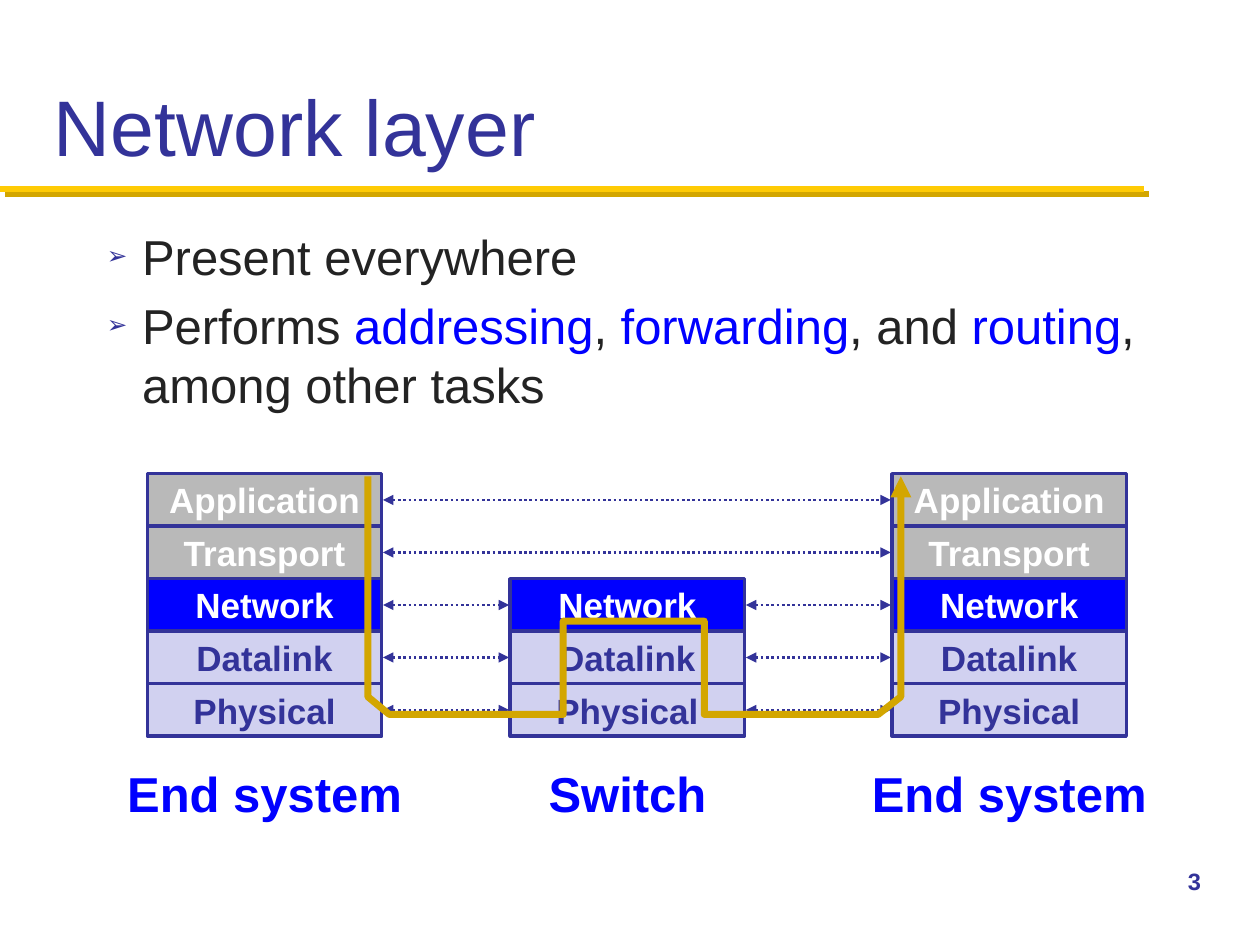
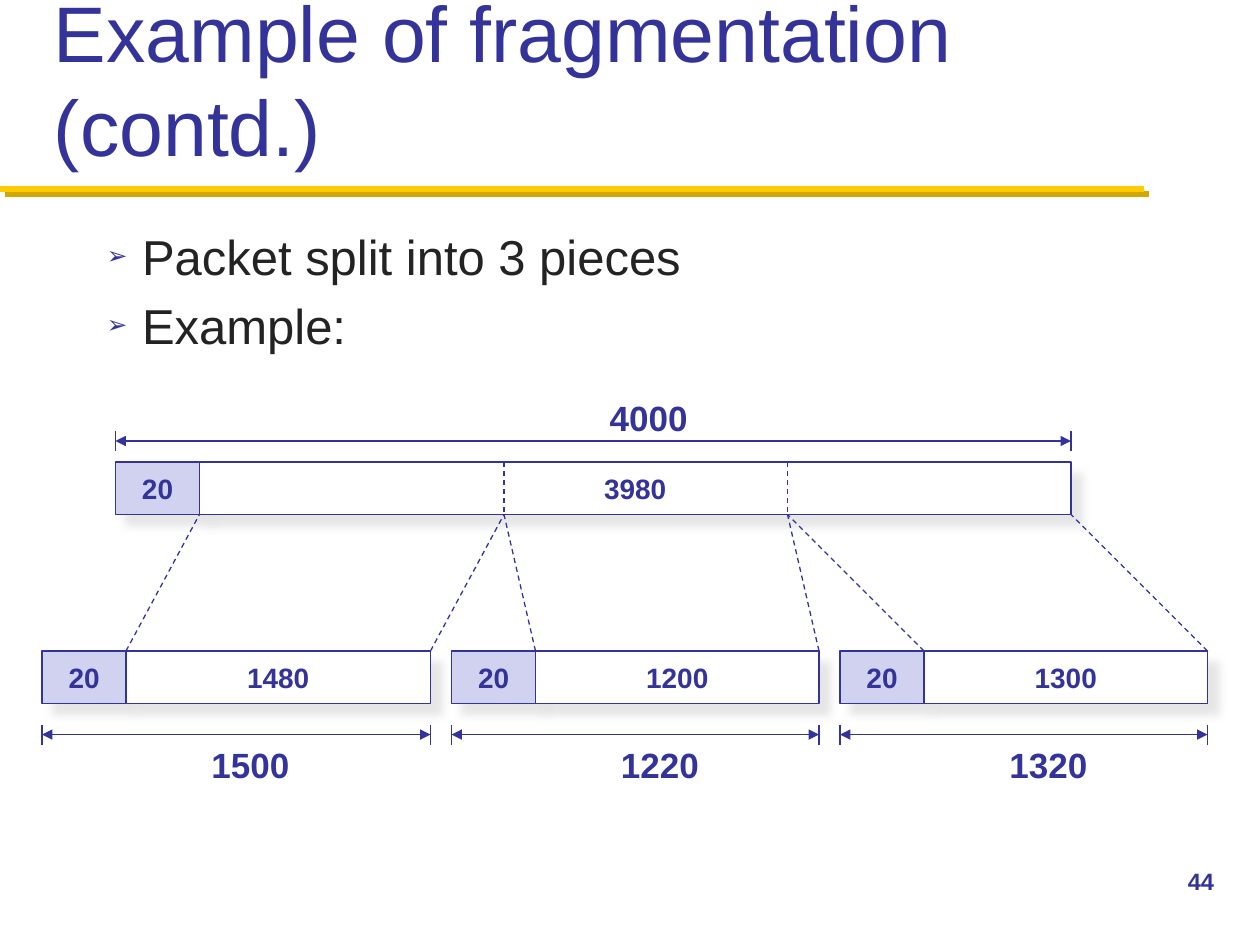
from lxml.etree import SubElement
from pptx import Presentation
from pptx.dml.color import RGBColor
from pptx.enum.dml import MSO_LINE
from pptx.enum.shapes import MSO_CONNECTOR, MSO_SHAPE
from pptx.enum.text import MSO_ANCHOR, PP_ALIGN
from pptx.oxml.ns import qn
from pptx.util import Inches, Pt

NAVY = RGBColor(0x33, 0x33, 0x99)
BLUE = RGBColor(0x00, 0x00, 0xFF)
INK = RGBColor(0x23, 0x23, 0x23)
WHITE = RGBColor(0xFF, 0xFF, 0xFF)
GREY = RGBColor(0xB9, 0xB9, 0xB9)
LAVENDER = RGBColor(0xD1, 0xD1, 0xF0)
YELLOW = RGBColor(0xFF, 0xCB, 0x05)
GOLD = RGBColor(0xD3, 0xA6, 0x00)
SHADE = RGBColor(0xCE, 0xCE, 0xCE)
FONT = "Arial"

LAYERS = {
    "Application": (GREY, WHITE),
    "Transport": (GREY, WHITE),
    "Network": (BLUE, WHITE),
    "Datalink": (LAVENDER, NAVY),
    "Physical": (LAVENDER, NAVY),
}


def write(paragraph, text, size=20, color=NAVY, bold=False, align=None):
    run = paragraph.add_run()
    run.text = text
    run.font.name = FONT
    run.font.size = Pt(size)
    run.font.color.rgb = color
    run.font.bold = bold
    if align is not None:
        paragraph.alignment = align


def add_effect(shape, shadow=None):
    effects = SubElement(shape._element.spPr, qn("a:effectLst"))
    if shadow:
        color, opacity, blur, distance = shadow
        outer = SubElement(effects, qn("a:outerShdw"), blurRad=str(Pt(blur)),
                           dist=str(Pt(distance)), dir="2700000",
                           algn="ctr", rotWithShape="0")
        tint = SubElement(outer, qn("a:srgbClr"), val=str(color))
        SubElement(tint, qn("a:alpha"), val=str(opacity * 1000))


def add_arrowheads(shape, *ends):
    outline = shape.line._get_or_add_ln()
    for end in ends:
        SubElement(outline, qn(f"a:{end}"), type="triangle")


class Deck:
    def __init__(self):
        self.presentation = Presentation()
        self.presentation.slide_width = Inches(10)
        self.presentation.slide_height = Inches(7.5)
        self.slide = None

    def start(self, title, number):
        layout = self.presentation.slide_layouts[6]
        self.slide = self.presentation.slides.add_slide(layout)
        self.line((0, 1.5), (9.08, 1.5), YELLOW, 3.5,
                  shadow=(GOLD, 100, 0, 4.2))
        self.text(0.33, 0.17, 9.33, 1.25, title, anchor=MSO_ANCHOR.BOTTOM, size=45)
        self.text(9.33, 6.83, 0.67, 0.5, number, size=13.5, bold=True)

    def frame(self, left, top, width, height, wrap=True, anchor=MSO_ANCHOR.TOP):
        box = self.slide.shapes.add_textbox(
            Inches(left), Inches(top), Inches(width), Inches(height))
        box.text_frame.word_wrap = wrap
        box.text_frame.vertical_anchor = anchor
        return box.text_frame

    def text(self, left, top, width, height, text, wrap=True,
             anchor=MSO_ANCHOR.TOP, **style):
        frame = self.frame(left, top, width, height, wrap, anchor)
        write(frame.paragraphs[0], text, **style)

    def bullets(self, *items):
        frame = self.frame(0.75, 1.75, 8.67, 4.83)
        for index, parts in enumerate(items):
            paragraph = frame.add_paragraph() if index else frame.paragraphs[0]
            properties = paragraph._p.get_or_add_pPr()
            properties.set("marL", str(Inches(0.28)))
            properties.set("indent", str(Inches(-0.28)))
            before = SubElement(properties, qn("a:spcBef"))
            SubElement(before, qn("a:spcPct"), val="20000")
            tint = SubElement(properties, qn("a:buClr"))
            SubElement(tint, qn("a:srgbClr"), val=str(NAVY))
            SubElement(properties, qn("a:buSzPct"), val="50000")
            SubElement(properties, qn("a:buFont"), typeface=FONT)
            SubElement(properties, qn("a:buChar"), char="➢")
            for text, color in parts:
                write(paragraph, text, size=28, color=color)

    def box(self, left, top, width, height, text, fill, weight,
            shadow=None, **style):
        shape = self.slide.shapes.add_shape(
            MSO_SHAPE.RECTANGLE, Inches(left), Inches(top),
            Inches(width), Inches(height))
        shape.fill.solid()
        shape.fill.fore_color.rgb = fill
        shape.line.color.rgb = NAVY
        shape.line.width = Pt(weight)
        add_effect(shape, shadow)
        frame = shape.text_frame
        frame.word_wrap = False
        frame.vertical_anchor = MSO_ANCHOR.MIDDLE
        write(frame.paragraphs[0], text, bold=True, align=PP_ALIGN.CENTER, **style)

    def line(self, start, end, color=NAVY, weight=0.75, dash=None,
             arrows=False, shadow=None):
        connector = self.slide.shapes.add_connector(
            MSO_CONNECTOR.STRAIGHT, *map(Inches, (*start, *end)))
        connector.line.color.rgb = color
        connector.line.width = Pt(weight)
        if dash:
            connector.line.dash_style = dash
        if arrows:
            add_arrowheads(connector, "headEnd", "tailEnd")
        add_effect(connector, shadow)

    def route(self, points, color, weight):
        corners = [(Inches(x), Inches(y)) for x, y in points]
        builder = self.slide.shapes.build_freeform(*corners[0])
        builder.add_line_segments(corners[1:], close=False)
        shape = builder.convert_to_shape()
        shape.fill.background()
        shape.line.color.rgb = color
        shape.line.width = Pt(weight)
        add_arrowheads(shape, "tailEnd")
        shape.shadow.inherit = False

    def measure(self, left, right, y):
        for x in (left, right):
            self.line((x, y - 0.08), (x, y + 0.08))
        self.line((left, y), (right, y), arrows=True)

    def packet(self, left, top, header, data, size):
        height = 5 / 12
        shadow = (SHADE, 50, 5, 8.5)
        self.box(left, top, header, height, "20", LAVENDER, 0.75, shadow, size=16)
        self.box(left + header, top, data, height, size, WHITE, 0.75, shadow, size=16)


def network_layer(deck):
    deck.start("Network layer", "3")
    deck.bullets(
        [("Present everywhere", INK)],
        [("Performs ", INK), ("addressing", BLUE), (", ", INK),
         ("forwarding", BLUE), (", and ", INK), ("routing", BLUE),
         (", among other tasks", INK)])

    width, height, top = 1.86, 5 / 12, 3.76
    sender, switch, receiver = 1.17, 4.05, 7.08
    systems = [(sender, "End system", 0), (switch, "Switch", 2),
               (receiver, "End system", 0)]
    for left, name, first in systems:
        for row, (layer, (fill, color)) in enumerate(LAYERS.items()):
            if row >= first:
                deck.box(left, top + row * height, width, height, layer,
                         fill, 2, color=color)
        deck.text(left + width / 2 - 1.2, 6.01, 2.4, 0.57, name, wrap=False,
                  size=28, color=BLUE, bold=True, align=PP_ALIGN.CENTER)

    for row in range(len(LAYERS)):
        y = top + (row + 0.5) * height
        stops = [sender, receiver] if row < 2 else [sender, switch, receiver]
        for left, right in zip(stops, stops[1:]):
            deck.line((left + width + 0.01, y), (right - 0.01, y), weight=1.5,
                      dash=MSO_LINE.ROUND_DOT, arrows=True)

    deck.route([(2.92, 3.78), (2.92, 5.53), (3.09, 5.67), (4.47, 5.67),
                (4.47, 4.93), (5.59, 4.93), (5.59, 5.67), (6.97, 5.67),
                (7.15, 5.53), (7.15, 3.78)], GOLD, 4)


def fragmentation(deck):
    deck.start("Example of fragmentation (contd.)", "44")
    deck.bullets([("Packet split into 3 pieces", INK)], [("Example:", INK)])

    header, gap = 8 / 12, 2 / 12
    fragments = [("1480", "1500", 29 / 12), ("1200", "1220", 27 / 12),
                 ("1300", "1320", 27 / 12)]
    packet_left, packet_top, packet_bottom = 11 / 12, 44 / 12, 49 / 12
    payload = sum(width for _, _, width in fragments)
    deck.measure(packet_left, packet_left + header + payload, 3.5)
    deck.text(4.74, 3.1, 0.83, 0.44, "4000", wrap=False, bold=True)
    deck.packet(packet_left, packet_top, header, payload, "3980")

    left, top, cut = 4 / 12, 62 / 12, packet_left + header
    for index, (data, total, width) in enumerate(fragments):
        start, end = left + header, left + header + width
        deck.packet(left, top, header, width, data)
        deck.measure(left, end, 5.83)
        deck.text(start + 0.58, 5.85, 0.83, 0.44, total, wrap=False, bold=True)
        if index:
            deck.line((cut, packet_top), (cut, packet_bottom), dash=MSO_LINE.DASH)
        for corner, source in ((start, cut), (end, cut + width)):
            deck.line((corner, top), (source, packet_bottom), dash=MSO_LINE.DASH)
        left, cut = end + gap, cut + width


def main():
    deck = Deck()
    network_layer(deck)
    fragmentation(deck)
    deck.presentation.save("out.pptx")


if __name__ == "__main__":
    main()
